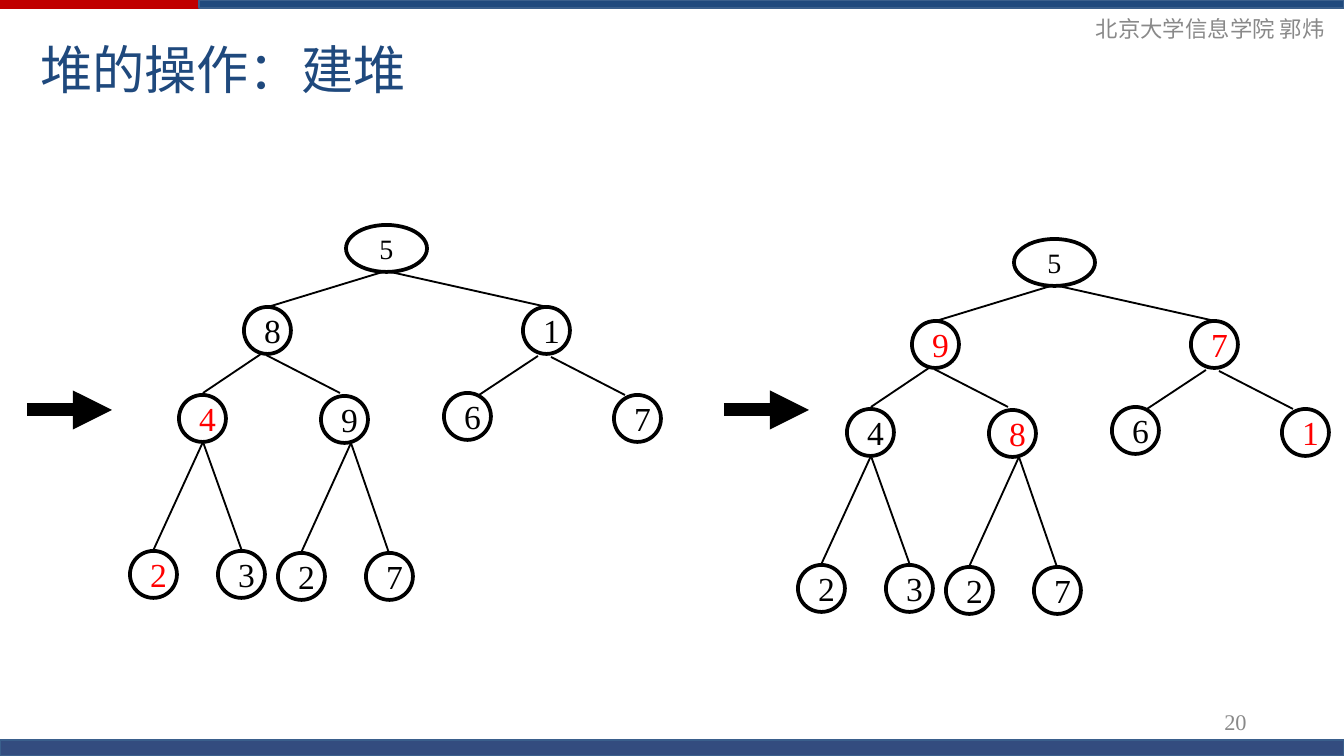
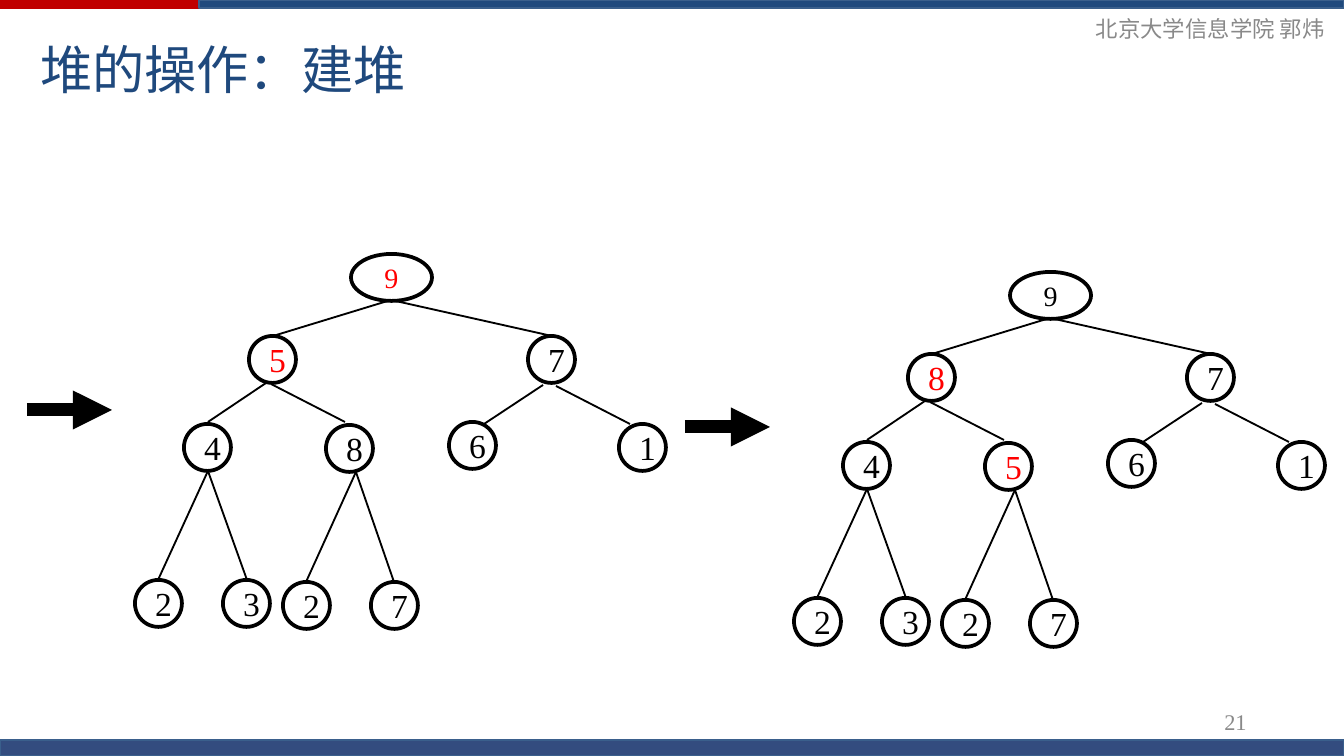
from lxml import etree
from pptx import Presentation
from pptx.dml.color import RGBColor
from pptx.enum.shapes import MSO_CONNECTOR, MSO_SHAPE
from pptx.enum.text import MSO_ANCHOR, PP_ALIGN
from pptx.oxml.ns import qn
from pptx.util import Emu, Pt

PX = 914400 / 134.4
BLUE, RED, NAVY, EDGE = "1F497D", "C00000", "002060", "3A5F8C"
GREY, BLACK, MARK = "898989", "000000", "FF0000"
SERIF, SANS = "Times New Roman", "Arial"


def px(*lengths):
    return [Emu(round(n * PX)) for n in lengths]


def write(sp, text, size, color, font=SERIF, align=PP_ALIGN.CENTER):
    tf = sp.text_frame
    tf.word_wrap = True
    tf.vertical_anchor = MSO_ANCHOR.MIDDLE
    p = tf.paragraphs[0]
    p.alignment = align
    r = p.add_run()
    r.text = text
    r.font.size, r.font.name = Pt(size), font
    r.font.color.rgb = RGBColor.from_string(color)


# left, top, width, height, fill, opacity in percent, has outline
BANDS = [
    (0, 0, 1344, 9, RED, 100, False),
    (199, 0, 1145, 8, BLUE, 100, True),
    (0, 740, 1344, 16, NAVY, 80, True),
]

# Heap nodes in level order: left, top, width, measured from the top centre of the root
NODE_H = 47
NODES = [
    (-40, 0, 81),
    (-142, 82, 47), (137, 82, 47),
    (-207, 170, 47), (-65, 171, 47), (58, 168, 47), (228, 170, 47),
    (-256, 326, 47), (-168, 326, 47), (-108, 328, 47), (-20, 328, 47),
]
# Branches from parent to child: x1, y1, x2, y2 from the same point
BRANCHES = [
    (0, 46, -118, 82), (0, 46, 161, 82),
    (-125, 129, -183, 168), (-120, 130, -46, 168),
    (152, 131, 93, 170), (165, 132, 239, 170),
    (-183, 217, -233, 326), (-183, 217, -144, 326),
    (-35, 218, -85, 328), (-35, 218, 3, 328),
]
ARROW_LEN = 85

# Page number, then each step: arrow start, root top centre, values, marked positions
SLIDES = [
    ("20", [
        ((27, 410), (386, 225), "58149672327", {3, 7}),
        ((724, 410), (1054, 239), "59748612327", {1, 2, 4, 6}),
    ]),
    ("21", [
        ((27, 410), (391, 254), "95748612327", {0, 1}),
        ((685, 427), (1050, 272), "98745612327", {1, 4}),
    ]),
]

prs = Presentation()
prs.slide_width, prs.slide_height = px(1344, 756)

for number, steps in SLIDES:
    s = prs.slides.add_slide(prs.slide_layouts[6])

    for x, y, w, h, color, opacity, outlined in BANDS:
        sp = s.shapes.add_shape(MSO_SHAPE.RECTANGLE, *px(x, y, w, h))
        sp.shadow.inherit = False
        sp.fill.solid()
        sp.fill.fore_color.rgb = RGBColor.from_string(color)
        if opacity < 100:
            rgb = sp.fill._xPr.find(".//" + qn("a:srgbClr"))
            etree.SubElement(rgb, qn("a:alpha"), val=str(opacity * 1000))
        if outlined:
            sp.line.color.rgb = RGBColor.from_string(EDGE)
            sp.line.width = Pt(0)
        else:
            sp.line.fill.background()

    header = s.shapes.add_textbox(*px(1025, 9, 313, 40))
    write(header, "北京大学信息学院 郭炜", 12, GREY, align=PP_ALIGN.RIGHT)
    title = s.shapes.add_textbox(*px(27, 19, 1210, 99))
    write(title, "堆的操作：建堆", 28, BLUE, SANS, PP_ALIGN.LEFT)
    page_number = s.shapes.add_textbox(*px(1179, 702, 113, 40))
    write(page_number, number, 12, GREY)

    for (ax, ay), (rx, ry), values, marked in steps:
        lines = [(ax, ay, ax + ARROW_LEN, ay, 7)]
        lines += [(rx + x1, ry + y1, rx + x2, ry + y2, 1) for x1, y1, x2, y2 in BRANCHES]
        for x1, y1, x2, y2, weight in lines:
            line = s.shapes.add_connector(MSO_CONNECTOR.STRAIGHT, *px(x1, y1, x2, y2))
            line.line.color.rgb = RGBColor.from_string(BLACK)
            line.line.width = Pt(weight)
            if weight == 7:
                etree.SubElement(line.line._get_or_add_ln(), qn("a:tailEnd"), type="triangle")
            etree.SubElement(line._element.spPr, qn("a:effectLst"))

        for i, ((x, y, w), value) in enumerate(zip(NODES, values)):
            node = s.shapes.add_shape(MSO_SHAPE.OVAL, *px(rx + x, ry + y, w, NODE_H))
            node.shadow.inherit = False
            node.fill.background()
            node.line.color.rgb = RGBColor.from_string(BLACK)
            node.line.width = Pt(2)
            write(node, value, 15 if i == 0 else 18, MARK if i in marked else BLACK)

prs.save("out.pptx")
